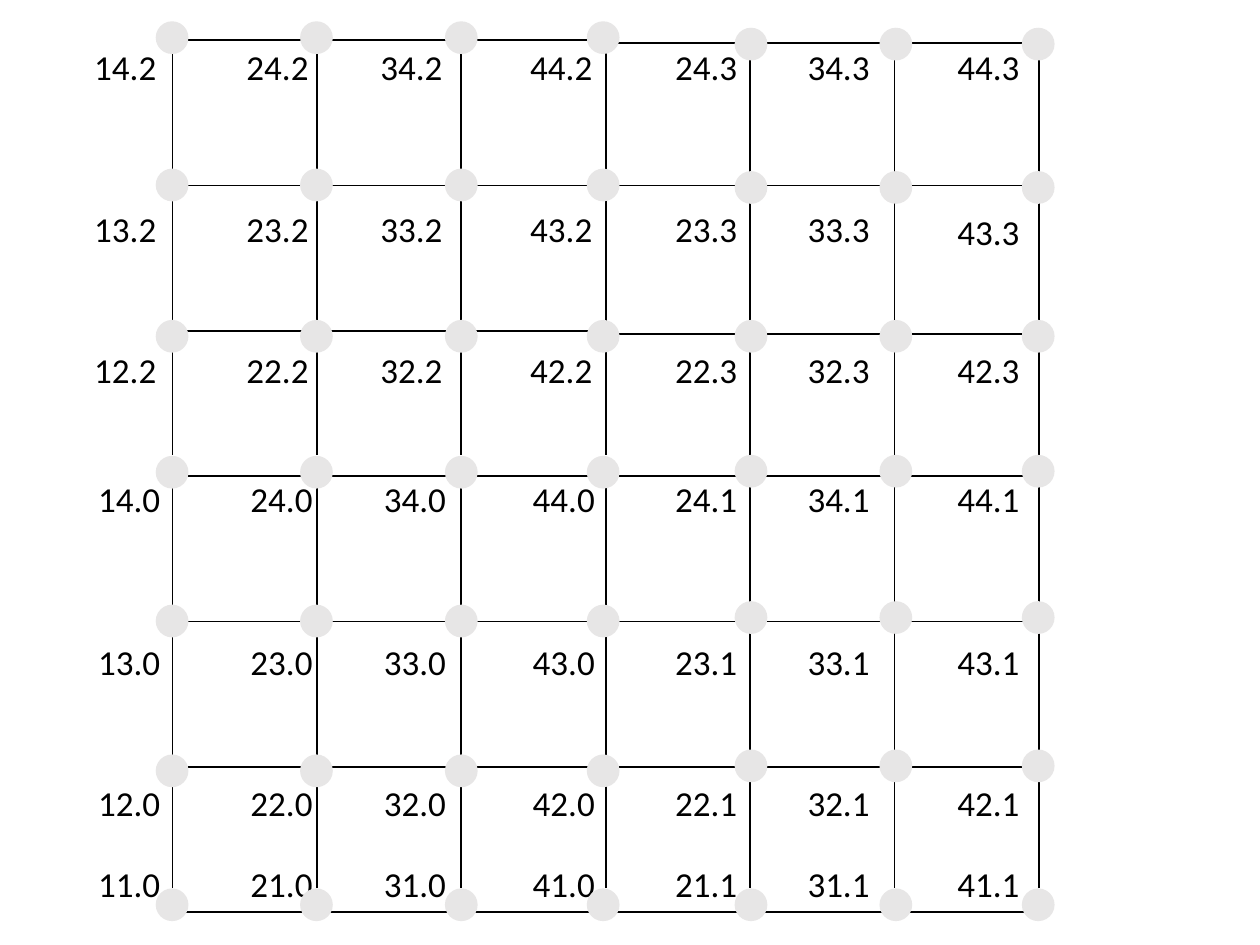
import pptx
import pptx.util
import pptx.dml.color
import pptx.enum.shapes
import pptx.enum.text
import lxml.etree
from dataclasses import dataclass
from pptx.util import Cm


@dataclass(frozen=True)
class Theme:
    ink: str = "000000"
    dot: str = "E7E6E6"
    font: str = "Calibri"
    label_size: int = 20
    line_width: int = 1


theme = Theme()
rgb = pptx.dml.color.RGBColor.from_string

prs = pptx.Presentation()
prs.slide_width = Cm(25.4)
prs.slide_height = Cm(19.05)
s = prs.slides.add_slide(prs.slide_layouts[6])


def add_text(text, *, left, top, size=theme.label_size, color=theme.ink, font=theme.font):
    tf = s.shapes.add_textbox(Cm(left), Cm(top), Cm(2.06), Cm(1.09)).text_frame
    tf.word_wrap = False
    tf.auto_size = pptx.enum.text.MSO_AUTO_SIZE.SHAPE_TO_FIT_TEXT
    r = tf.paragraphs[0].add_run()
    r.text = text
    r.font.name = font
    r.font.size = pptx.util.Pt(size)
    r.font.color.rgb = rgb(color)


def add_line(x1, y1, x2, y2):
    line = s.shapes.add_connector(
        pptx.enum.shapes.MSO_CONNECTOR.STRAIGHT, Cm(x1), Cm(y1), Cm(x2), Cm(y2))
    line.line.color.rgb = rgb(theme.ink)
    line.line.width = pptx.util.Pt(theme.line_width)
    lxml.etree.SubElement(line._element.spPr, pptx.oxml.ns.qn("a:effectLst"))


for top in (0.86, 9.6):
    for col in range(7):
        x = 3.48 + 2.91 * col
        add_line(x, top, x, top + 8.31)

right_line_shift = {0: 0.05, 2: 0.06}
for row in range(7):
    y = 0.81 + 2.93 * row
    add_line(12.22, y, 3.3, y)
    y += right_line_shift.get(row, 0)
    add_line(20.96, y, 12.04, y)

upper_rows = {4: 0.79, 3: 4.06, 2: 6.91}
lower_rows = {4: 9.5, 3: 12.78, 2: 15.62, 1: 17.27}
right_cols = {2: 13.36, 3: 16.03, 4: 19.05}
blocks = [
    (0, {1: 1.73, 2: 4.8, 3: 7.49, 4: 10.49}, lower_rows),
    (1, right_cols, lower_rows),
    (2, {1: 1.65, 2: 4.72, 3: 7.42, 4: 10.44}, upper_rows),
    (3, right_cols, upper_rows),
]
label_shift = {"43.3": 0.05}
for block, cols, rows in blocks:
    for j, top in rows.items():
        for i, left in cols.items():
            label = f"{i}{j}.{block}"
            add_text(label, left=left, top=top + label_shift.get(label, 0))

dot_halves = [
    ((3.14, 6.05, 8.97, 11.83), (0.43, 3.4, 6.45, 9.19, 12.19, 15.21, 17.91)),
    ((14.81, 17.73, 20.6), (0.56, 3.45, 6.45, 9.17, 12.12, 15.11, 17.91)),
]
for lefts, tops in dot_halves:
    for top in tops:
        for left in lefts:
            dot = s.shapes.add_shape(
                pptx.enum.shapes.MSO_SHAPE.OVAL, Cm(left), Cm(top), Cm(0.66), Cm(0.66))
            dot.shadow.inherit = False
            dot.fill.solid()
            dot.fill.fore_color.rgb = rgb(theme.dot)
            dot.line.fill.background()

prs.save("out.pptx")
